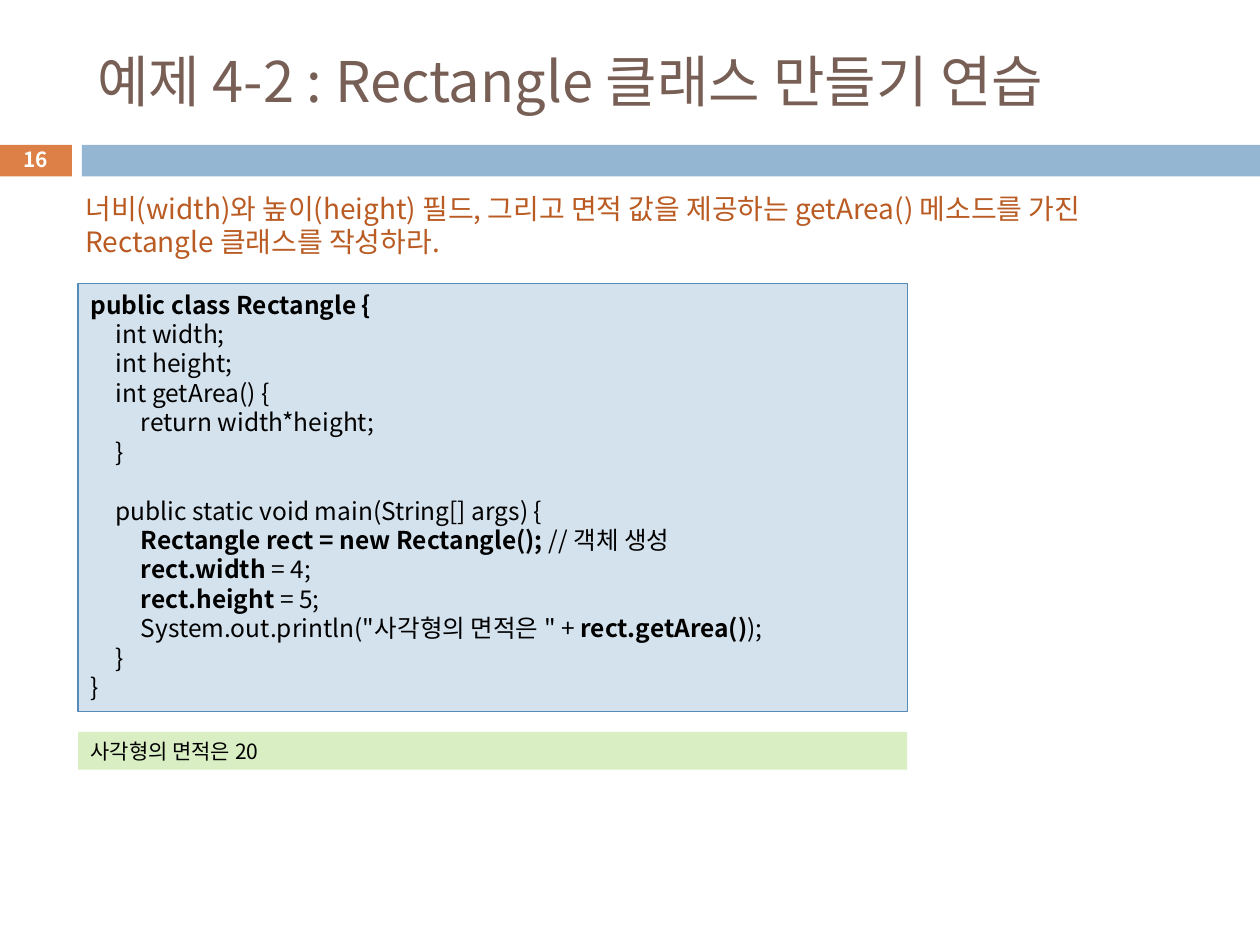
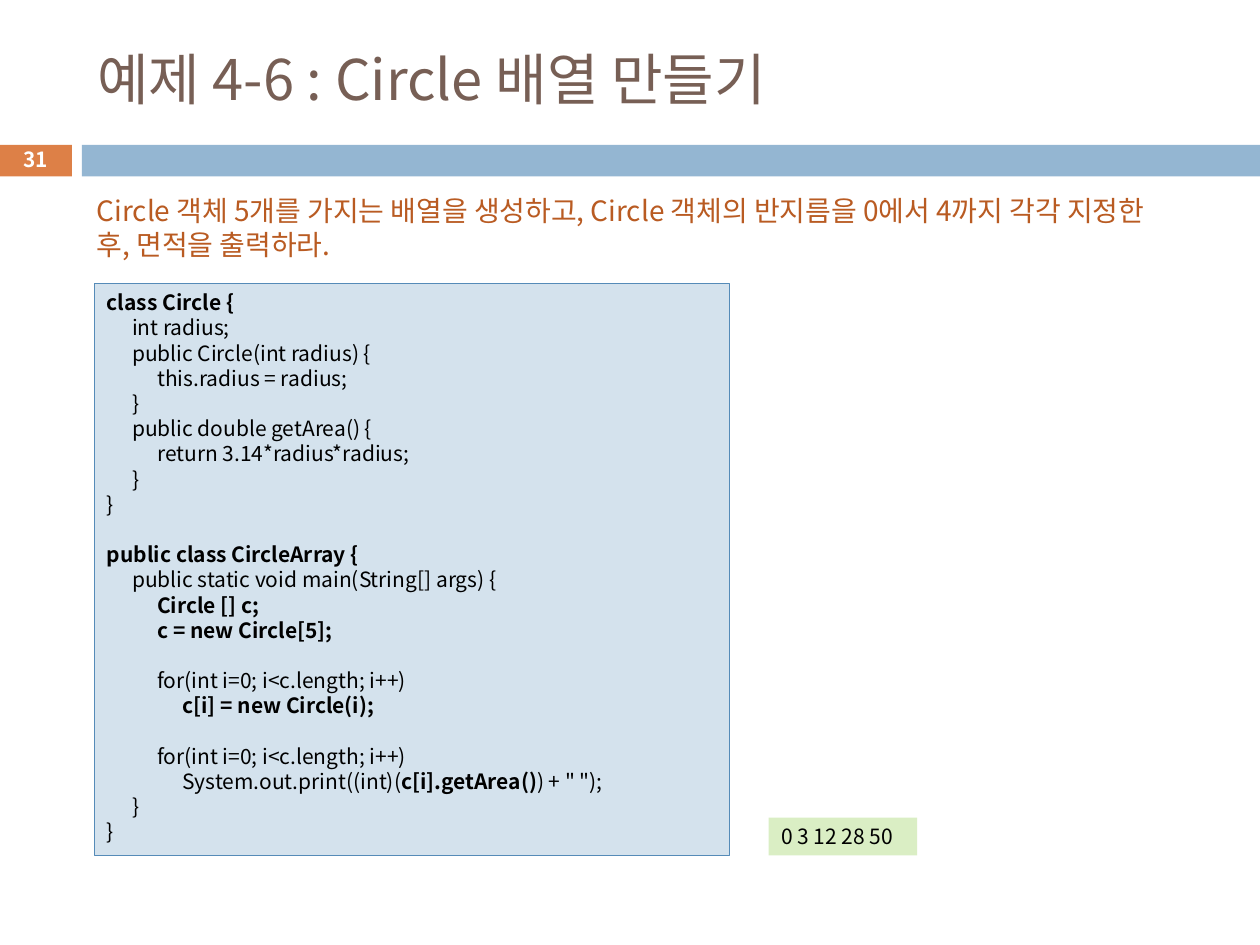
from lxml import etree
from pptx import Presentation
from pptx.dml.color import RGBColor
from pptx.enum.shapes import MSO_SHAPE
from pptx.enum.text import MSO_ANCHOR, MSO_AUTO_SIZE, PP_ALIGN
from pptx.oxml.ns import qn
from pptx.util import Pt

RECT = MSO_SHAPE.RECTANGLE
TOP, MIDDLE = MSO_ANCHOR.TOP, MSO_ANCHOR.MIDDLE
LEFT, CENTER = PP_ALIGN.LEFT, PP_ALIGN.CENTER
FIXED = MSO_AUTO_SIZE.NONE

FONT = "Noto Sans CJK KR"
ORANGE = RGBColor(0xDD, 0x80, 0x47)
BLUE = RGBColor(0x94, 0xB6, 0xD2)
BROWN = RGBColor(0x77, 0x5F, 0x55)
RUST = RGBColor(0xB9, 0x5B, 0x22)
PALE = RGBColor(0xD4, 0xE2, 0xED)
EDGE = RGBColor(0x55, 0x8B, 0xB8)
GREEN = RGBColor(0xDA, 0xEE, 0xC4)
BLACK = RGBColor(0, 0, 0)
WHITE = RGBColor(0xFF, 0xFF, 0xFF)

LEADING = 1.2
TAB = 14.4
DEPTH = 3

RECT_CODE = """\
`public class Rectangle {`
    int width;
    int height;
    int getArea() {
        return width*height;
    }

    public static void main(String[] args) {
        `Rectangle rect = new Rectangle(); `// 객체 생성
        `rect.width` = 4;
        `rect.height` = 5;
        System.out.println("사각형의 면적은 " + `rect.getArea()`);
    }
}"""

CIRCLE_CODE = """\
`class Circle {`
    int radius;
    public Circle(int radius) {
        this.radius = radius;
    }
    public double getArea() {
        return 3.14*radius*radius;
    }
}

`public class CircleArray {`
    public static void main(String[] args) {
        `Circle [] c;`
        `c = new Circle[5];`

        for(int i=0; i<c.length; i++)
            `c[i] = new Circle(i);`

        for(int i=0; i<c.length; i++)
            System.out.print((int)(`c[i].getArea()`) + " ");
    }
}"""


class Deck:
    """Builds code example slides in one shared style."""

    def __init__(self):
        self.prs = Presentation()
        self.prs.slide_width, self.prs.slide_height = Pt(720), Pt(540)
        self.slide = None

    def start(self, title, number, box):
        self.slide = self.prs.slides.add_slide(self.prs.slide_layouts[5])
        self.panel((-0.72, 82.8, 41.76, 18), ORANGE)
        self.panel((46.8, 82.8, 673.2, 18), BLUE)
        head = self.slide.shapes.title
        head.left, head.top, head.width, head.height = map(Pt, box)
        frame = self.setup(head, MIDDLE)
        self.add_run(self.line(frame.paragraphs[0]), title, 32, BROWN)
        self.label(number, (-0.72, 81.36, 41.76, 19.44), 11.9, WHITE,
                   bold=True, align=CENTER, anchor=MIDDLE)

    def setup(self, shape, anchor=TOP):
        frame = shape.text_frame
        frame.word_wrap = True
        frame.auto_size = FIXED
        frame.vertical_anchor = anchor
        return frame

    def line(self, para, size=None, align=LEFT):
        para.alignment = align
        if size:
            para.line_spacing = Pt(LEADING * size)
        return para

    def add_run(self, para, text, size, color, bold=False):
        run = para.add_run()
        run.text = text
        font = run.font
        font.name, font.size, font.bold = FONT, Pt(size), bold
        font.color.rgb = color
        east = etree.SubElement(run._r.get_or_add_rPr(), qn("a:ea"))
        east.set("typeface", FONT)

    def panel(self, box, fill, edge=None):
        shape = self.slide.shapes.add_shape(RECT, *map(Pt, box))
        shape.shadow.inherit = False
        shape.fill.solid()
        shape.fill.fore_color.rgb = fill
        if edge:
            shape.line.color.rgb = edge
            shape.line.width = Pt(0.75)
        else:
            shape.line.fill.background()
        return shape

    def label(self, text, box, size, color, bold=False, align=LEFT, anchor=TOP):
        shape = self.slide.shapes.add_textbox(*map(Pt, box))
        frame = self.setup(shape, anchor)
        para = self.line(frame.paragraphs[0], size, align)
        self.add_run(para, text, size, color, bold)

    def task(self, text, box):
        self.label(text, box, 16, RUST)

    def result(self, text, box):
        frame = self.setup(self.panel(box, GREEN))
        self.add_run(self.line(frame.paragraphs[0], 12), text, 12, BLACK)

    def tabs(self, para):
        stops = etree.SubElement(para._p.get_or_add_pPr(), qn("a:tabLst"))
        for step in range(1, DEPTH + 1):
            stop = etree.SubElement(stops, qn("a:tab"))
            stop.set("pos", str(int(Pt(TAB * step))))
            stop.set("algn", "l")

    def code(self, source, box, size):
        frame = self.setup(self.panel(box, PALE, EDGE))
        para, gap = frame.paragraphs[0], 0
        for index, row in enumerate(source.split("\n")):
            if not row:
                gap = LEADING * size
                continue
            if index:
                para = frame.add_paragraph()
            self.tabs(para)
            self.line(para, size)
            if gap:
                para.space_before = Pt(gap)
                gap = 0
            text = row.lstrip()
            indent = "\t" * ((len(row) - len(text)) // 4)
            for part, piece in enumerate((indent + text).split("`")):
                if piece:
                    self.add_run(para, piece, size, BLACK, part % 2 == 1)


def main():
    deck = Deck()

    deck.start("예제 4-2 : Rectangle 클래스 만들기 연습", "16",
               (48.24, 18, 671.76, 55.44))
    deck.task("너비(width)와 높이(height) 필드, 그리고 면적 값을 제공하는 getArea() "
              "메소드를 가진 Rectangle 클래스를 작성하라.",
              (41.76, 105.84, 630, 46.08))
    deck.code(RECT_CODE, (44.64, 162, 473.76, 244.8), 14)
    deck.result("사각형의 면적은 20", (44.64, 418.32, 473.76, 21.6))

    deck.start("예제 4-6 : Circle 배열 만들기", "31",
               (48.24, 18, 642.24, 53.28))
    deck.task("Circle 객체 5개를 가지는 배열을 생성하고, Circle 객체의 반지름을 "
              "0에서 4까지 각각 지정한 후, 면적을 출력하라.",
              (48.24, 107.28, 617.76, 46.08))
    deck.code(CIRCLE_CODE, (54, 162, 362.88, 326.88), 12)
    deck.result("0 3 12 28 50", (439.2, 467.28, 84.96, 21.6))

    deck.prs.save("out.pptx")


if __name__ == "__main__":
    main()
